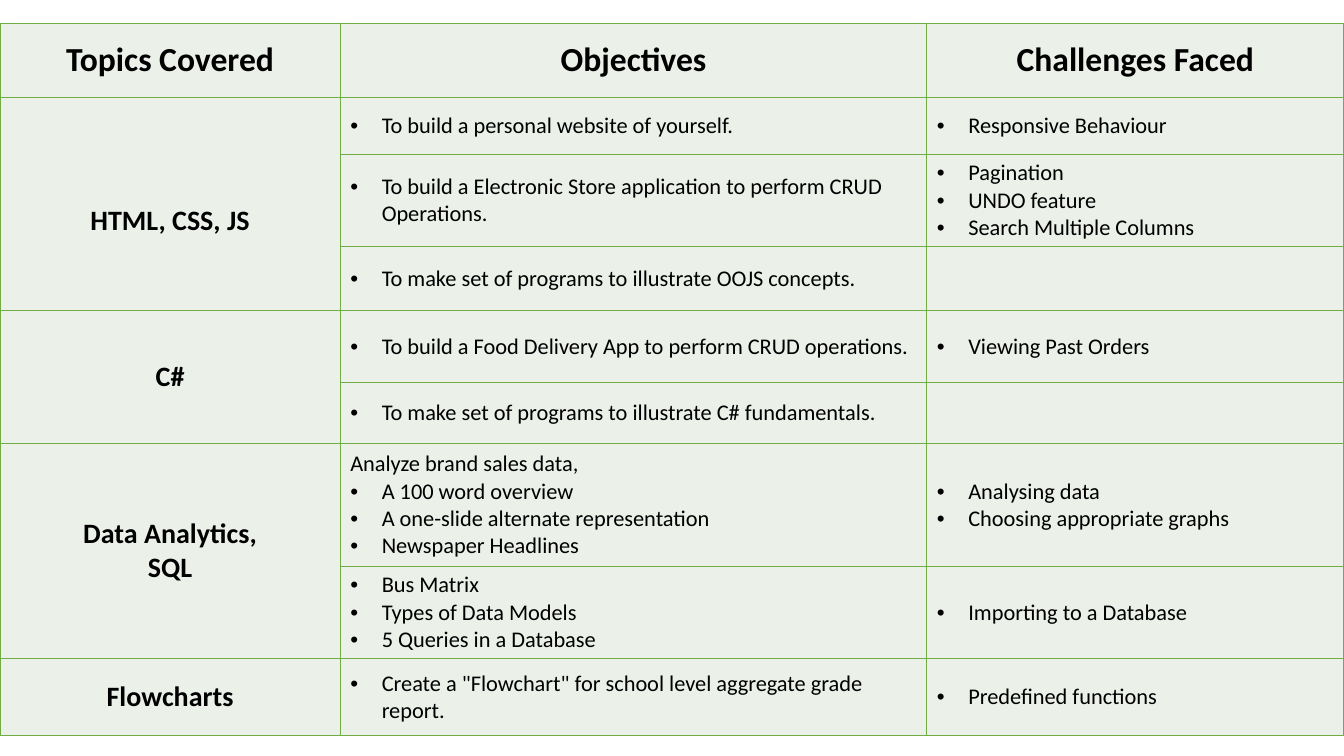
from dataclasses import dataclass

from lxml import etree
from pptx import Presentation
from pptx.dml.color import RGBColor
from pptx.enum.text import MSO_ANCHOR, PP_ALIGN
from pptx.oxml.ns import qn
from pptx.util import Pt

MIDDLE = MSO_ANCHOR.MIDDLE
CENTER = PP_ALIGN.CENTER
LEFT = PP_ALIGN.LEFT


@dataclass(frozen=True)
class Theme:
    font: str = "Calibri"
    ink: str = "000000"
    fill: str = "EBF1E9"
    line: str = "70AD47"
    rule: float = 1
    head: float = 24
    topic: float = 20
    body: float = 16
    indent: float = 22.5


THEME = Theme()

HEADS = ["Topics Covered", "Objectives", "Challenges Faced"]

# Topic, line spacing, then its tasks: lead line, objectives, challenges
TOPICS = [
    ("HTML, CSS, JS", 2, [
        ("", ["To build a personal website of yourself."],
         ["Responsive Behaviour"]),
        ("", ["To build a Electronic Store application to perform CRUD "
              "Operations."],
         ["Pagination", "UNDO feature", "Search Multiple Columns"]),
        ("", ["To make set of programs to illustrate OOJS concepts."], []),
    ]),
    ("C#", 1, [
        ("", ["To build a Food Delivery App to perform CRUD operations."],
         ["Viewing Past Orders"]),
        ("", ["To make set of programs to illustrate C# fundamentals."], []),
    ]),
    ("Data Analytics,\vSQL", 1, [
        ("Analyze brand sales data,",
         ["A 100 word overview", "A one-slide alternate representation",
          "Newspaper Headlines"],
         ["Analysing data", "Choosing appropriate graphs"]),
        ("", ["Bus Matrix", "Types of Data Models",
              "5 Queries in a Database"],
         ["Importing to a Database"]),
    ]),
    ("Flowcharts", 1, [
        ("", ['Create a "Flowchart" for school level aggregate grade '
              'report.'],
         ["Predefined functions"]),
    ]),
]

COLS = [243, 419, 298]
ROWS = [53, 40.7, 65.7, 45.7, 51.4, 43.6, 87.8, 65.7, 55]


def style(par, size, bold=False, align=LEFT):
    par.alignment = align
    font = par.font
    font.name = THEME.font
    font.size = Pt(size)
    font.bold = bold
    font.color.rgb = RGBColor.from_string(THEME.ink)


def bullet(par):
    props = par._p.get_or_add_pPr()
    props.set("marL", str(Pt(THEME.indent)))
    props.set("indent", str(-Pt(THEME.indent)))
    face = etree.Element(qn("a:buFont"), typeface="Arial")
    mark = etree.Element(qn("a:buChar"), char="•")
    # Bullet parts come before the default run properties
    props.find(qn("a:defRPr")).addprevious(face)
    face.addnext(mark)


def border(cell):
    props = cell._tc.get_or_add_tcPr()
    for side in ("lnL", "lnR", "lnT", "lnB"):
        line = etree.SubElement(props, qn("a:" + side), w=str(Pt(THEME.rule)))
        fill = etree.SubElement(line, qn("a:solidFill"))
        etree.SubElement(fill, qn("a:srgbClr"), val=THEME.line)


def label(cell, text, size, space=1):
    par = cell.text_frame.paragraphs[0]
    par.text = text
    style(par, size, True, CENTER)
    par.line_spacing = space


def points(cell, items, lead=""):
    lines = ([lead] if lead else []) + items
    frame = cell.text_frame
    for i, text in enumerate(lines):
        par = frame.add_paragraph() if i else frame.paragraphs[0]
        par.text = text
        style(par, THEME.body)
        if text != lead:
            bullet(par)


def grid(slide, left, top, width, height):
    frame = slide.shapes.add_table(len(ROWS), len(COLS), Pt(left), Pt(top),
                                   Pt(width), Pt(height))
    table = frame.table
    table.first_row = table.horz_banding = False
    for col, size in zip(table.columns, COLS):
        col.width = Pt(width * size / sum(COLS))
    for row, size in zip(table.rows, ROWS):
        row.height = Pt(height * size / sum(ROWS))

    # Cell look
    for cell in table.iter_cells():
        border(cell)
        cell.fill.solid()
        cell.fill.fore_color.rgb = RGBColor.from_string(THEME.fill)
        cell.vertical_anchor = MIDDLE

    # Header row
    for col, text in enumerate(HEADS):
        label(table.cell(0, col), text, THEME.head)

    # Topics, each spanning its tasks
    row = 1
    for topic, space, tasks in TOPICS:
        first = table.cell(row, 0)
        if len(tasks) > 1:
            first.merge(table.cell(row + len(tasks) - 1, 0))
        label(first, topic, THEME.topic, space)
        for lead, goals, snags in tasks:
            points(table.cell(row, 1), goals, lead)
            points(table.cell(row, 2), snags)
            row += 1


def main():
    deck = Presentation()
    deck.slide_width, deck.slide_height = Pt(960), Pt(540)
    slide = deck.slides.add_slide(deck.slide_layouts[6])
    grid(slide, 0, 16.6, 960, sum(ROWS))
    deck.save("out.pptx")


main()
